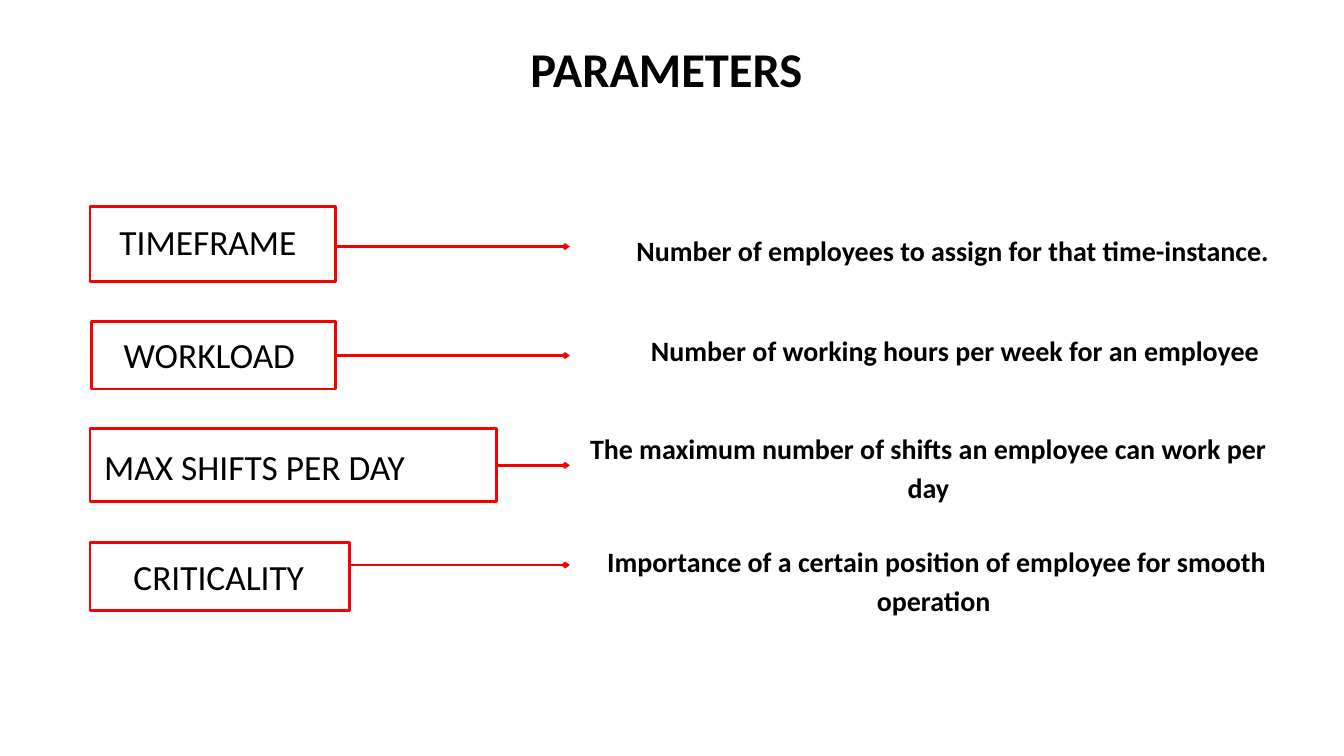
from collections import namedtuple
from dataclasses import dataclass

from lxml.etree import SubElement
from pptx import Presentation
from pptx.dml.color import RGBColor as RGB
from pptx.enum.shapes import MSO_CONNECTOR as Link, MSO_SHAPE as Shape
from pptx.enum.text import PP_ALIGN as Align
from pptx.oxml.ns import qn
from pptx.util import Cm, Pt


@dataclass(frozen=True)
class Theme:
    font: str = "Calibri"
    ink: RGB = RGB(0, 0, 0)
    paper: RGB = RGB(255, 255, 255)
    red: RGB = RGB(0xF7, 0, 0)
    stroke: float = 3
    # Each style is type size, line pitch, bold
    title: tuple = (52, 72.8, True)
    label: tuple = (37.9, 53.1, False)
    note: tuple = (30, 42, True)


THEME = Theme()
TIP = 21.54  # where all arrows end

# Areas are left, top, width, height in centimetres
Row = namedtuple("Row", "label box label_area align level note note_area")
ROWS = [
    Row("TIMEFRAME", (3.4, 7.8, 9.27, 2.84), (3.94, 8.05, 7.85, 1.83),
        Align.CENTER, 9.32,
        "Number of employees to assign for that time-instance.",
        (21.67, 8.61, 28.7, 1.4)),
    Row("WORKLOAD", (3.45, 12.14, 9.22, 2.57), (3.94, 12.32, 7.95, 1.83),
        Align.CENTER, 13.44,
        "Number of working hours per week for an employee",
        (22.4, 12.4, 27.41, 2.84)),
    Row("MAX SHIFTS PER DAY", (3.4, 16.21, 15.37, 2.74),
        (3.94, 16.56, 15.7, 1.83), Align.LEFT, 17.59,
        "The maximum number of shifts an employee can work per day",
        (21.54, 16.1, 27.1, 2.84)),
    Row("CRITICALITY ", (3.4, 20.52, 9.8, 2.57), (4.17, 20.7, 8.51, 1.83),
        Align.CENTER, 21.36,
        " Importance of a certain position of employee for smooth operation",
        (21.74, 20.37, 27.1, 2.87)),
]


def add_text(slide, text, area, style, align=Align.CENTER):
    size, pitch, bold = style
    frame = slide.shapes.add_textbox(*map(Cm, area)).text_frame
    frame.word_wrap = True
    frame.margin_left = frame.margin_right = 0
    frame.margin_top = frame.margin_bottom = 0
    frame.text = text
    para = frame.paragraphs[0]
    para.alignment = align
    para.line_spacing = Pt(pitch)
    font = para.runs[0].font
    font.name, font.size, font.bold = THEME.font, Pt(size), bold
    font.color.rgb = THEME.ink


def add_box(slide, area):
    box = slide.shapes.add_shape(Shape.RECTANGLE, *map(Cm, area))
    box.shadow.inherit = False
    box.fill.solid()
    box.fill.fore_color.rgb = THEME.paper
    box.line.color.rgb = THEME.red
    box.line.width = Pt(THEME.stroke)


def add_arrow(slide, start, end, level):
    arrow = slide.shapes.add_connector(
        Link.STRAIGHT, Cm(start), Cm(level), Cm(end), Cm(level))
    arrow.line.color.rgb = THEME.red
    arrow.line.width = Pt(THEME.stroke)
    # Open arrowhead, no shadow
    SubElement(arrow.line._get_or_add_ln(), qn("a:tailEnd"),
               type="arrow", w="sm", len="sm")
    SubElement(arrow._element.spPr, qn("a:effectLst"))


def main():
    deck = Presentation()
    deck.slide_width, deck.slide_height = Cm(50.8), Cm(28.58)
    slide = deck.slides.add_slide(deck.slide_layouts[6])

    # Heading
    add_text(slide, "PARAMETERS ", (18.77, 1.09, 13.26, 2.46), THEME.title)

    # One boxed parameter, arrow and meaning per row
    for row in ROWS:
        left, _, width, _ = row.box
        add_box(slide, row.box)
        add_text(slide, row.label, row.label_area, THEME.label, row.align)
        add_arrow(slide, left + width, TIP, row.level)
        add_text(slide, row.note, row.note_area, THEME.note)

    deck.save("out.pptx")


if __name__ == "__main__":
    main()
